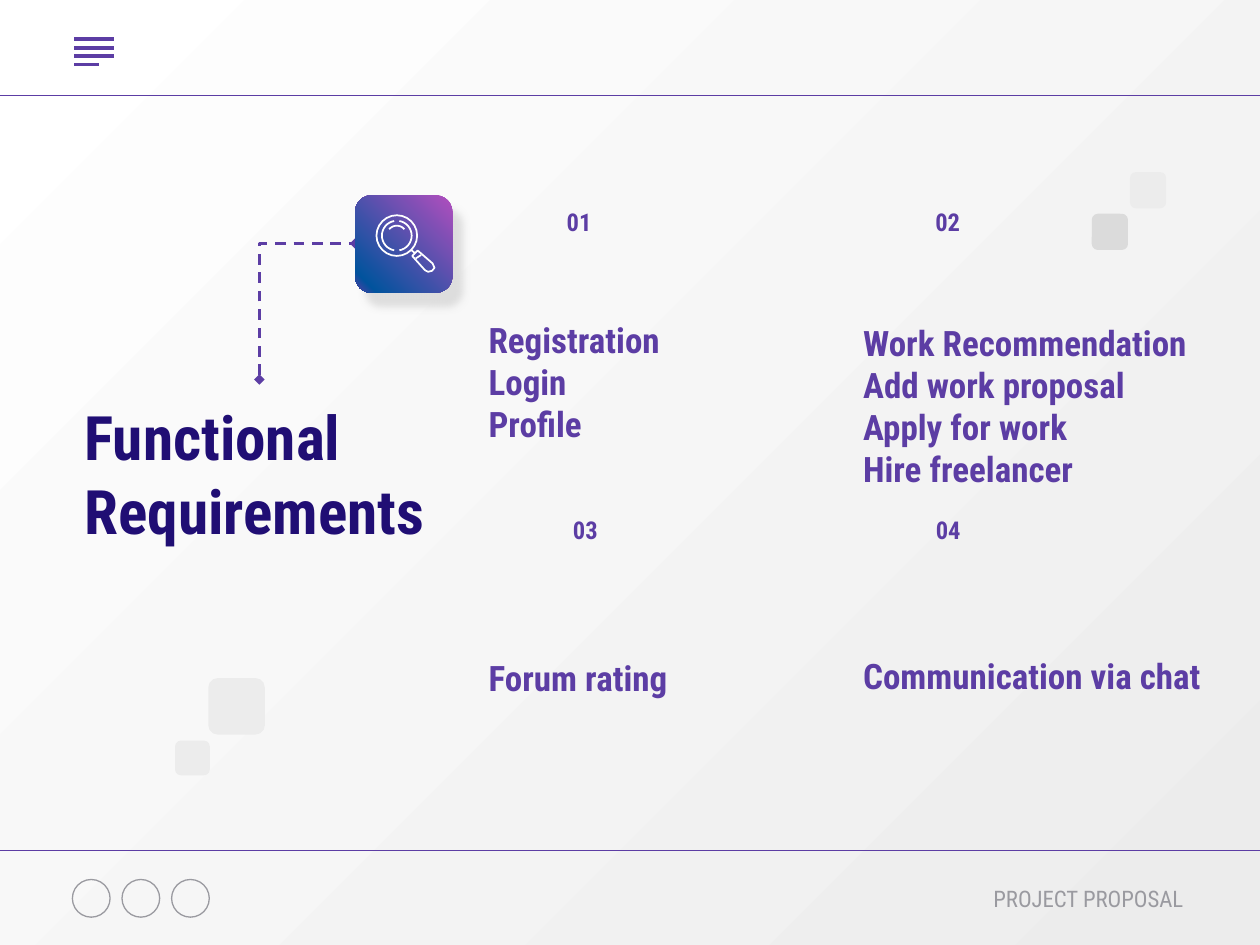
from math import cos, radians, sin

from lxml import etree
from pptx import Presentation
from pptx.dml.color import RGBColor
from pptx.enum.dml import MSO_LINE
from pptx.enum.shapes import MSO_CONNECTOR, MSO_SHAPE
from pptx.enum.text import MSO_ANCHOR, MSO_AUTO_SIZE, PP_ALIGN
from pptx.oxml.ns import qn
from pptx.util import Cm, Pt

STRAIGHT, ELBOW = MSO_CONNECTOR.STRAIGHT, MSO_CONNECTOR.ELBOW
OVAL, ROUNDED = MSO_SHAPE.OVAL, MSO_SHAPE.ROUNDED_RECTANGLE
LEFT, CENTER, RIGHT = PP_ALIGN.LEFT, PP_ALIGN.CENTER, PP_ALIGN.RIGHT
TOP, MIDDLE = MSO_ANCHOR.TOP, MSO_ANCHOR.MIDDLE
DASH = MSO_LINE.DASH

FONT = "Roboto Condensed"
COLORS = {
    "purple": "5C3DA4", "navy": "200E74", "muted": "9A9AA0",
    "white": "FFFFFF", "light": "ECECEC", "grey": "DBDBDB",
    "pink": "B24EBE", "blue": "01539D", "shadow": "CCCCCC",
}


def rgb(name):
    return RGBColor.from_string(COLORS[name])


def sub(parent, tag, **attrs):
    el = etree.SubElement(parent, qn(tag))
    for key, value in attrs.items():
        el.set(key, str(value))
    return el


class Deck:
    def __init__(self):
        self.prs = Presentation()
        self.prs.slide_width, self.prs.slide_height = Cm(25.4), Cm(19.05)

    def add_slide(self):
        self.slide = self.prs.slides.add_slide(self.prs.slide_layouts[5])
        self.shapes = self.slide.shapes

    def gradient(self, fill, root, angle, stops):
        """Give fill its stops; root is the element that holds the fill."""
        fill.gradient()
        fill.gradient_angle = angle
        gs_list = root.find(".//" + qn("a:gsLst"))
        gs_list.clear()
        for pos, color in stops:
            gs = sub(gs_list, "a:gs", pos=pos * 1000)
            sub(gs, "a:srgbClr", val=COLORS[color])

    def set_text(self, sp, text, size, color, bold=True, align=LEFT,
                 anchor=MIDDLE, inset=0.25):
        tf = sp.text_frame
        tf.word_wrap = True
        tf.auto_size = MSO_AUTO_SIZE.NONE
        tf.vertical_anchor = anchor
        tf.margin_left = tf.margin_right = Cm(0.25)
        tf.margin_top = tf.margin_bottom = Cm(inset)
        p = tf.paragraphs[0]
        p.text = text
        p.alignment = align
        p.font.name, p.font.size, p.font.bold = FONT, Pt(size), bold
        p.font.color.rgb = rgb(color)

    def title(self, text, x, y, w, h, size, color):
        sp = self.shapes.title
        sp.left, sp.top, sp.width, sp.height = Cm(x), Cm(y), Cm(w), Cm(h)
        self.set_text(sp, text, size, color)

    def text(self, text, x, y, w, h, size, color, **style):
        sp = self.shapes.add_textbox(Cm(x), Cm(y), Cm(w), Cm(h))
        self.set_text(sp, text, size, color, **style)

    def line(self, x1, y1, x2, y2, width, color="purple", kind=STRAIGHT):
        cx = self.shapes.add_connector(kind, Cm(x1), Cm(y1), Cm(x2), Cm(y2))
        cx.line.color.rgb, cx.line.width = rgb(color), Pt(width)
        sub(cx._element.spPr, "a:effectLst")
        return cx

    def dashed_corner(self, x1, y1, x2, y2):
        """Dashed line up from (x1, y1), then right to (x2, y2)."""
        mid_x, mid_y = (x1 + x2) / 2, (y1 + y2) / 2
        # The preset runs right then down, so it is drawn turned by 270 degrees.
        half_w, half_h = (y1 - y2) / 2, (x2 - x1) / 2
        cx = self.line(mid_x - half_w, mid_y - half_h,
                       mid_x + half_w, mid_y + half_h, 1.5, kind=ELBOW)
        cx.line.dash_style = DASH
        sp_pr = cx._element.spPr
        sp_pr.find(qn("a:xfrm")).set("rot", str(270 * 60000))
        sp_pr.find(qn("a:prstGeom")).set("prst", "bentConnector2")
        for end in ("a:headEnd", "a:tailEnd"):
            sub(sp_pr.find(qn("a:ln")), end, type="diamond")

    def square(self, x, y, size, color):
        sp = self.shapes.add_shape(ROUNDED, Cm(x), Cm(y), Cm(size), Cm(size))
        sp.shadow.inherit = False
        sp.fill.solid()
        sp.fill.fore_color.rgb = rgb(color)
        sp.line.fill.background()
        return sp

    def outline(self, sp, color, width):
        sp.shadow.inherit = False
        sp.fill.background()
        sp.line.color.rgb, sp.line.width = rgb(color), Pt(width)

    def ring(self, cx, cy, r, color, width):
        sp = self.shapes.add_shape(OVAL, Cm(cx - r), Cm(cy - r), Cm(2 * r), Cm(2 * r))
        self.outline(sp, color, width)

    def polyline(self, points, color, width, close=False):
        pts = [(Cm(x), Cm(y)) for x, y in points]
        builder = self.shapes.build_freeform(*pts[0], scale=1.0)
        builder.add_line_segments(pts[1:], close=close)
        self.outline(builder.convert_to_shape(), color, width)

    def arc(self, cx, cy, r, start, end, color, width):
        points = [(cx + r * cos(radians(a)), cy + r * sin(radians(a)))
                  for a in range(start, end + 1, 10)]
        self.polyline(points, color, width)

    def magnifier_tile(self, x, y, size):
        tile = self.square(x, y, size, "blue")
        self.gradient(tile.fill, tile._element, 225,
                      [(0, "pink"), (89, "blue"), (100, "purple")])
        effects = tile._element.spPr.find(qn("a:effectLst"))
        shadow = sub(effects, "a:outerShdw", blurRad=Pt(4.5), dist=Pt(9.8),
                     dir=55 * 60000, algn="bl", rotWithShape=0)
        sub(sub(shadow, "a:srgbClr", val=COLORS["shadow"]), "a:alpha", val=60000)

        pen = ("white", 1)
        cx, cy = x + 0.84, y + 0.81
        self.ring(cx, cy, 0.41, *pen)
        for start, end in ((-80, 80), (100, 260)):
            self.arc(cx, cy, 0.3, start, end, *pen)
        self.arc(cx, cy, 0.2, 220, 320, *pen)
        handle = [(0.42, 0.3), (0.72, 0.56), (0.76, 0.65), (0.71, 0.71),
                  (0.63, 0.73), (0.57, 0.7), (0.31, 0.41)]
        self.polyline([(cx + dx, cy + dy) for dx, dy in handle], *pen, close=True)
        self.line(cx + 0.28, cy + 0.28, cx + 0.36, cy + 0.35, 1, "white")
        self.line(cx + 0.38, cy + 0.46, cx + 0.49, cy + 0.39, 1, "white")


def main():
    deck = Deck()
    deck.add_slide()
    deck.gradient(deck.slide.background.fill, deck.slide._element, 315,
                  [(0, "white"), (100, "light")])

    for y in (1.93, 17.15):
        deck.line(-0.13, y, 25.53, y, 0.75)
    for i, length in enumerate((0.79, 0.79, 0.79, 0.5)):
        y = 0.79 + 0.17 * i
        deck.line(1.5, y, 1.5 + length, y, 2.25)
    for i in range(3):
        deck.ring(1.84 + i, 18.11, 0.38, "muted", 0.75)

    deck.title("Functional Requirements", 1.45, 7.65, 7.57, 3.76, 35, "navy")
    deck.dashed_corner(5.23, 7.65, 7.16, 4.91)
    deck.square(8.46, 4.85, 0.66, "grey")
    deck.magnifier_tile(7.16, 3.94, 1.96)

    requirements = [
        ("Registration\nLogin\nProfile", 9.6, 5.87, 5.41, 3.66),
        ("Work Recommendation\nAdd work proposal\nApply for work\nHire freelancer",
         17.15, 7.75, 7.54, 0.86),
        ("Forum rating", 9.6, 12.93, 5.08, 1.47),
        ("Communication via chat", 17.15, 12.88, 7.54, 1.47),
    ]
    for text, *box in requirements:
        deck.text(text, *box, 20, "purple")

    numbers = [("01", 10.67, 4.04, 2.01), ("02", 17.96, 4.04, 2.29),
               ("03", 10.67, 10.26, 2.26), ("04", 17.96, 10.26, 2.31)]
    for text, x, y, w in numbers:
        deck.text(text, x, y, w, 1.8, 14, "purple", align=CENTER,
                  anchor=TOP, inset=0.13)

    deck.text("PROJECT PROPOSAL", 17.75, 17.55, 6.35, 1.12, 13, "muted",
              bold=False, align=RIGHT)

    for x, y, size, color in [(22.01, 4.31, 0.73, "grey"), (22.78, 3.47, 0.73, "light"),
                              (4.2, 13.67, 1.14, "light"), (3.53, 14.93, 0.7, "light")]:
        deck.square(x, y, size, color)

    deck.prs.save("out.pptx")


if __name__ == "__main__":
    main()
